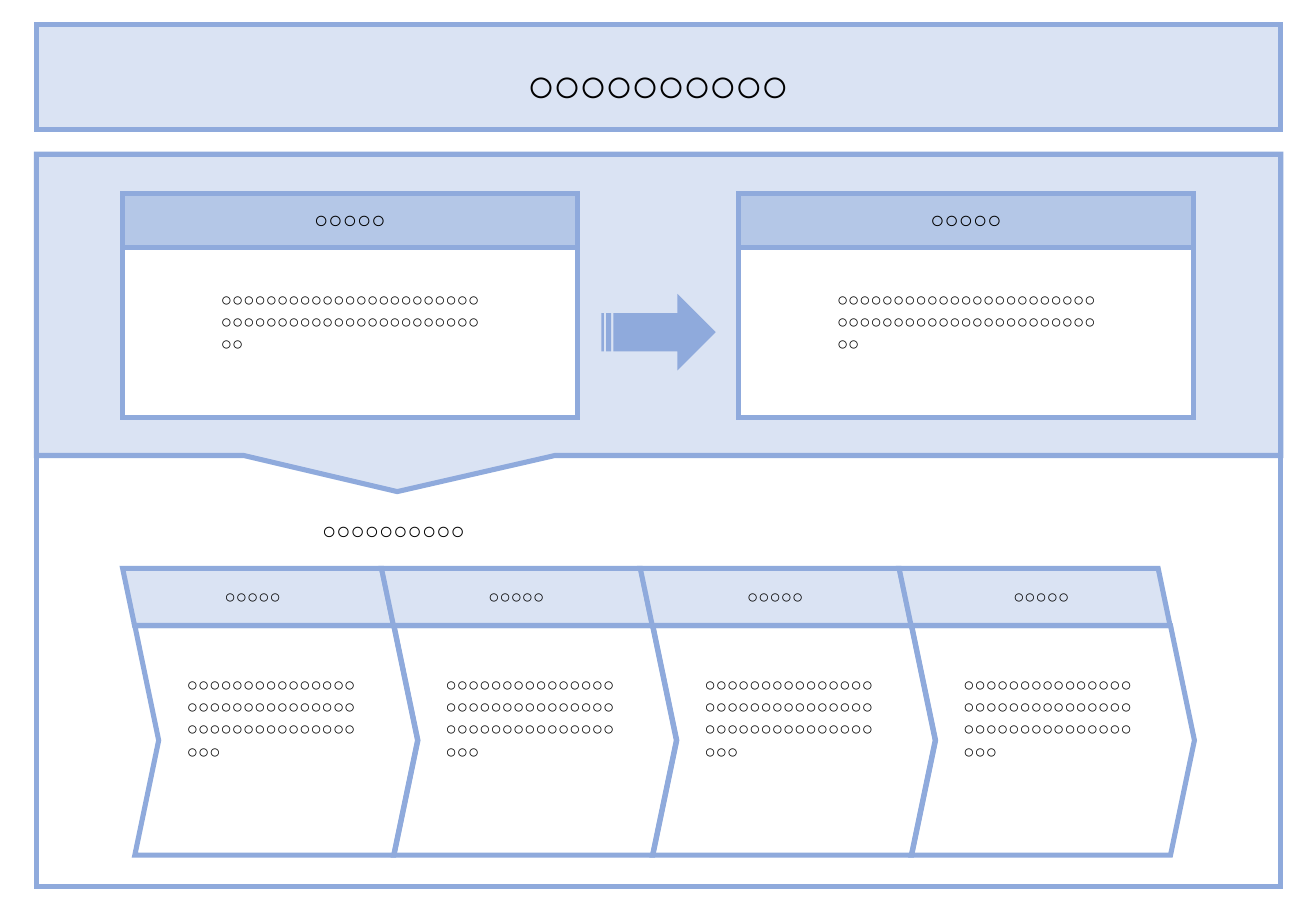
import pptx
import pptx.util
import pptx.dml.color
import pptx.enum.shapes
import pptx.enum.text
import pptx.oxml.ns
import lxml.etree

Inches = pptx.util.Inches
RGBColor = pptx.dml.color.RGBColor
SHAPES = pptx.enum.shapes.MSO_SHAPE
ALIGN = pptx.enum.text.PP_ALIGN

PALE_BLUE = RGBColor(0xDA, 0xE3, 0xF3)
HEADER_BLUE = RGBColor(0xB4, 0xC7, 0xE7)
LINE_BLUE = RGBColor(0x8F, 0xAA, 0xDC)
WHITE = RGBColor(0xFF, 0xFF, 0xFF)
BLACK = RGBColor(0, 0, 0)
FONT = "Arial"

SHORT_LABEL = "○" * 5
LONG_LABEL = "○" * 10
BODY = "○" * 48


def add_figure(slide, kind, left, top, width, height, fill=None, outlined=True):
    """Add a preset shape with an optional fill and sharp-cornered outline."""
    shape = slide.shapes.add_shape(
        kind, Inches(left), Inches(top), Inches(width), Inches(height))
    shape.shadow.inherit = False
    if fill is None:
        shape.fill.background()
    else:
        shape.fill.solid()
        shape.fill.fore_color.rgb = fill
    if outlined:
        shape.line.color.rgb = LINE_BLUE
        shape.line.width = pptx.util.Pt(3)
        line = shape.line._get_or_add_ln()
        lxml.etree.SubElement(line, pptx.oxml.ns.qn("a:miter"), lim="800000")
    else:
        shape.line.fill.background()
    return shape


def add_text(slide, text, left, top, width, height, size,
             align=ALIGN.CENTER, bold=False, spacing=None):
    """Add a wrapped one-paragraph text box."""
    box = slide.shapes.add_textbox(
        Inches(left), Inches(top), Inches(width), Inches(height))
    frame = box.text_frame
    frame.word_wrap = True
    frame.auto_size = pptx.enum.text.MSO_AUTO_SIZE.SHAPE_TO_FIT_TEXT
    paragraph = frame.paragraphs[0]
    paragraph.alignment = align
    run = paragraph.add_run()
    run.text = text
    run.font.size = pptx.util.Pt(size)
    run.font.name = FONT
    run.font.bold = bold
    run.font.color.rgb = BLACK
    # East Asian typeface and letter spacing
    properties = run.font._element
    lxml.etree.SubElement(properties, pptx.oxml.ns.qn("a:ea"), typeface=FONT)
    if spacing is not None:
        properties.set("spc", str(int(spacing * 100)))


def add_step(slide, left, label_left):
    """Add one process step: slanted header over a chevron."""
    chevron = add_figure(slide, SHAPES.CHEVRON, left + 0.1, 5.15, 2.33, 1.89)
    chevron.adjustments[0] = 0.104
    header = add_figure(slide, SHAPES.PARALLELOGRAM, left, 4.68, 2.23, 0.47, PALE_BLUE)
    header.adjustments[0] = 0.209
    header._element.spPr.xfrm.set("flipH", "1")
    add_text(slide, SHORT_LABEL, label_left, 4.77, 1.38, 0.29, 11)
    add_text(slide, BODY, left + 0.43, 5.49, 1.67, 1.21, 11, ALIGN.JUSTIFY)


def add_card(slide, left):
    """Add a card with a header band and body text."""
    add_figure(slide, SHAPES.RECTANGLE, left, 2.03, 3.74, 1.41, WHITE)
    add_figure(slide, SHAPES.RECTANGLE, left, 1.59, 3.74, 0.45, HEADER_BLUE)
    add_text(slide, SHORT_LABEL, left + 1.18, 1.64, 1.38, 0.34, 14)
    add_text(slide, BODY, left + 0.71, 2.32, 2.33, 0.84, 11, ALIGN.JUSTIFY)


def main():
    presentation = pptx.Presentation()
    presentation.slide_width = Inches(10.83)
    presentation.slide_height = Inches(7.5)
    slide = presentation.slides.add_slide(presentation.slide_layouts[6])

    # Title banner
    add_figure(slide, SHAPES.RECTANGLE, 0.3, 0.2, 10.24, 0.87, PALE_BLUE)
    add_text(slide, LONG_LABEL, 2.8, 0.41, 5.23, 0.57, 28, bold=True, spacing=-1.5)

    # Frame and process steps
    add_figure(slide, SHAPES.RECTANGLE, 0.3, 1.28, 10.24, 6.02)
    for index, label_left in enumerate((1.39, 3.56, 5.69, 7.88)):
        add_step(slide, 1.01 + 2.13 * index, label_left)

    # Upper panel pointing at the steps
    callout = add_figure(slide, SHAPES.RECTANGULAR_CALLOUT, 0.3, 1.27, 10.24, 2.48, PALE_BLUE)
    callout.adjustments[0] = -0.21
    callout.adjustments[1] = 0.62

    # Two cards joined by an arrow
    for card_left in (1.01, 6.08):
        add_card(slide, card_left)
    add_figure(slide, SHAPES.STRIPED_RIGHT_ARROW, 4.95, 2.42, 0.94, 0.63,
               LINE_BLUE, outlined=False)

    # Heading of the steps
    add_text(slide, LONG_LABEL, 1.41, 4.2, 3.66, 0.34, 14)

    presentation.save("out.pptx")


if __name__ == "__main__":
    main()
